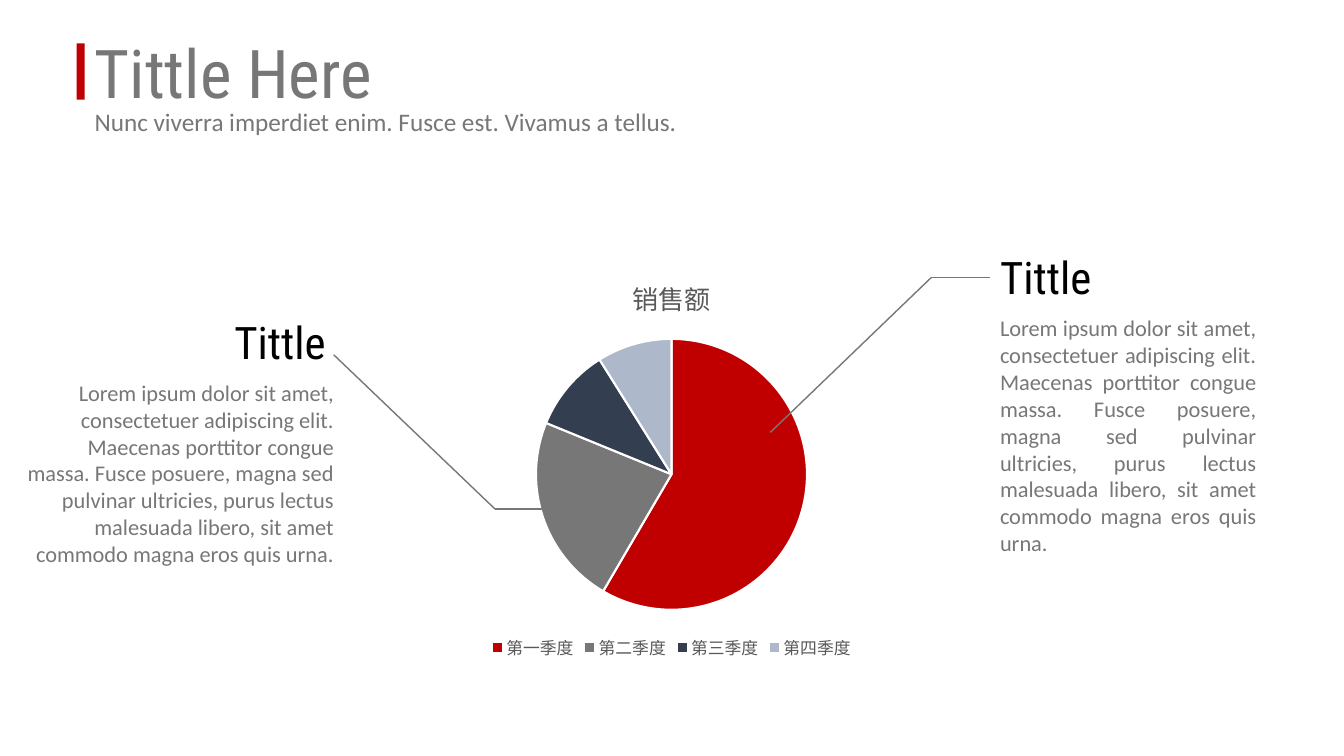
from dataclasses import dataclass
from typing import Any

from lxml import etree
from pptx import Presentation
from pptx.chart.data import CategoryChartData
from pptx.dml.color import RGBColor
from pptx.enum.chart import XL_CHART_TYPE, XL_LEGEND_POSITION
from pptx.enum.shapes import MSO_CONNECTOR, MSO_SHAPE
from pptx.enum.text import MSO_ANCHOR, PP_ALIGN
from pptx.oxml.ns import qn
from pptx.util import Inches, Pt

PIE = XL_CHART_TYPE.PIE
BOTTOM = XL_LEGEND_POSITION.BOTTOM
STRAIGHT = MSO_CONNECTOR.STRAIGHT
RECTANGLE = MSO_SHAPE.RECTANGLE
TOP = MSO_ANCHOR.TOP
LEFT, RIGHT, JUSTIFY = PP_ALIGN.LEFT, PP_ALIGN.RIGHT, PP_ALIGN.JUSTIFY
LEFT_SIDE = 1

RED, GRAY, NAVY, PALE = "C00000", "777777", "333F50", "ADB9CA"
BLACK, WHITE, CHART_GRAY = "000000", "FFFFFF", "595959"
HEAD_FONT, BODY_FONT, CHART_FONT = "Roboto Condensed", "Calibri", "Noto Sans CJK SC"

HEADING = {"size": Pt(32), "name": HEAD_FONT, "color": BLACK}
BODY = {"size": Pt(16), "name": BODY_FONT, "color": GRAY}
LOREM = (
    "Lorem ipsum dolor sit amet, consectetuer adipiscing elit. Maecenas porttitor "
    "congue massa. Fusce posuere, magna sed pulvinar ultricies, purus lectus "
    "malesuada libero, sit amet commodo magna eros quis urna."
)

Box = tuple[float, float, float, float]
Point = tuple[float, float]


@dataclass
class Callout:
    heading_box: Box
    body_box: Box
    heading_align: Any
    body_align: Any
    leader: list[Point]
    joins_heading: bool


@dataclass
class Slice:
    quarter: str
    sales: int
    color: str


CALLOUTS = [
    Callout((9.82, 2.43, 2.67, 0.64), (9.82, 3.07, 2.74, 2.26), LEFT, JUSTIFY,
            [(7.64, 4.29), (9.24, 2.75), (9.82, 2.75)], True),
    Callout((0.14, 3.07, 3.19, 0.64), (0.13, 3.71, 3.28, 1.99), RIGHT, RIGHT,
            [(3.31, 3.52), (4.91, 5.05), (5.48, 5.05)], False),
]
SLICES = [
    Slice("第一季度", 59, RED),
    Slice("第二季度", 23, GRAY),
    Slice("第三季度", 10, NAVY),
    Slice("第四季度", 9, PALE),
]


def rgb(color: str) -> RGBColor:
    return RGBColor.from_string(color)


def inches(*values: float) -> list[Inches]:
    return [Inches(value) for value in values]


def set_font(font, fmt: dict) -> None:
    for name, value in fmt.items():
        if name == "color":
            font.color.rgb = rgb(value)
        else:
            setattr(font, name, value)


def write(sp, text: str, fmt: dict, align=LEFT) -> None:
    tf = sp.text_frame
    tf.word_wrap = True
    tf.vertical_anchor = TOP
    p = tf.paragraphs[0]
    p.alignment = align
    r = p.add_run()
    r.text = text
    set_font(r.font, fmt)


def add_text(slide, box: Box, text: str, fmt: dict, align=LEFT):
    sp = slide.shapes.add_textbox(*inches(*box))
    write(sp, text, fmt, align)
    return sp


def add_line(slide, start: Point, end: Point):
    line = slide.shapes.add_connector(STRAIGHT, *inches(*start, *end))
    line.line.color.rgb = rgb(GRAY)
    line.line.width = Pt(1)
    etree.SubElement(line.element.spPr, qn("a:effectLst"))
    return line


def add_callout(slide, callout: Callout) -> None:
    heading = add_text(slide, callout.heading_box, "Tittle", HEADING, callout.heading_align)
    add_text(slide, callout.body_box, LOREM, BODY, callout.body_align)
    lines = [add_line(slide, a, b) for a, b in zip(callout.leader, callout.leader[1:])]
    if callout.joins_heading:
        lines[-1].end_connect(heading, LEFT_SIDE)


def add_pie(slide) -> None:
    data = CategoryChartData()
    data.categories = [s.quarter for s in SLICES]
    data.add_series("销售额", [s.sales for s in SLICES])
    chart = slide.shapes.add_chart(PIE, *inches(3.64, 2.56, 6.04, 4.03), data).chart
    set_font(chart.font, {"size": Pt(10), "name": CHART_FONT, "color": BLACK})

    chart.has_title = True
    r = chart.chart_title.text_frame.paragraphs[0].add_run()
    r.text = "销售额"
    set_font(r.font, {"size": Pt(18.6), "bold": False, "name": CHART_FONT,
                      "color": CHART_GRAY})

    chart.has_legend = True
    chart.legend.position = BOTTOM
    chart.legend.include_in_layout = False
    set_font(chart.legend.font, {"size": Pt(12), "name": CHART_FONT, "color": CHART_GRAY})

    plot = chart.plots[0]
    plot.vary_by_categories = True
    for i, s in enumerate(SLICES):
        fmt = plot.series[0].points[i].format
        fmt.fill.solid()
        fmt.fill.fore_color.rgb = rgb(s.color)
        fmt.line.color.rgb = rgb(WHITE)
        fmt.line.width = Pt(1.5)

    for latin in list(chart.element.iter(qn("a:latin"))):
        latin.addnext(etree.Element(qn("a:ea"), typeface=CHART_FONT))


def add_header(slide) -> None:
    title = slide.shapes.title
    title.left, title.top, title.width, title.height = inches(0.84, 0.26, 3.46, 0.91)
    write(title, "Tittle Here", {"size": Pt(48), "name": HEAD_FONT, "color": GRAY})

    bar = slide.shapes.add_shape(RECTANGLE, *inches(0.76, 0.43, 0.08, 0.56))
    bar.shadow.inherit = False
    bar.fill.solid()
    bar.fill.fore_color.rgb = rgb(RED)
    bar.line.fill.background()

    add_text(slide, (0.84, 1.01, 6.1, 0.4),
             "Nunc viverra imperdiet enim. Fusce est. Vivamus a tellus.",
             {"size": Pt(18), "name": BODY_FONT, "color": GRAY}, JUSTIFY)


def main() -> None:
    prs = Presentation()
    prs.slide_width, prs.slide_height = inches(13.33, 7.5)
    slide = prs.slides.add_slide(prs.slide_layouts.get_by_name("Title Only"))
    add_pie(slide)
    add_header(slide)
    for callout in CALLOUTS:
        add_callout(slide, callout)
    prs.save("out.pptx")


if __name__ == "__main__":
    main()
